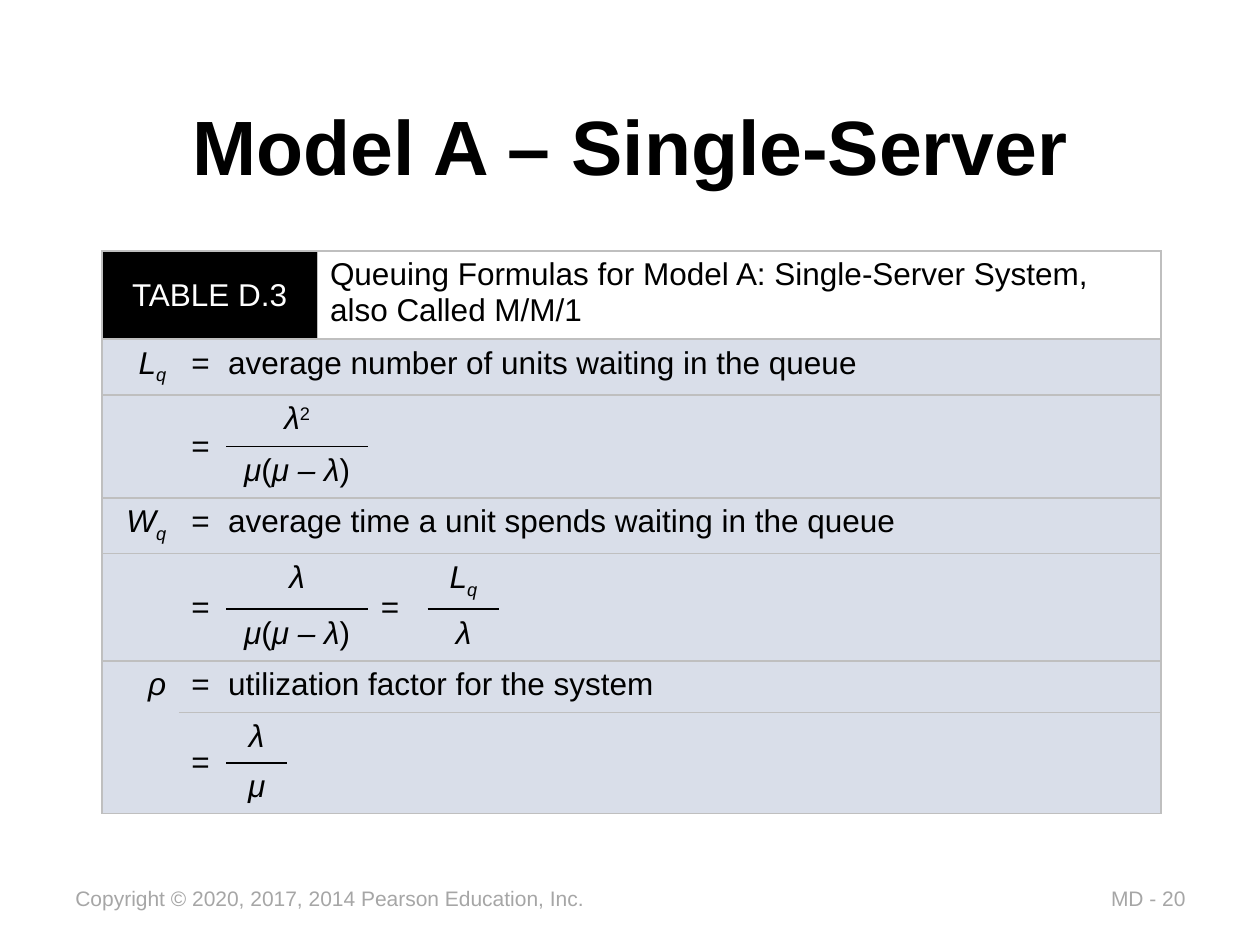
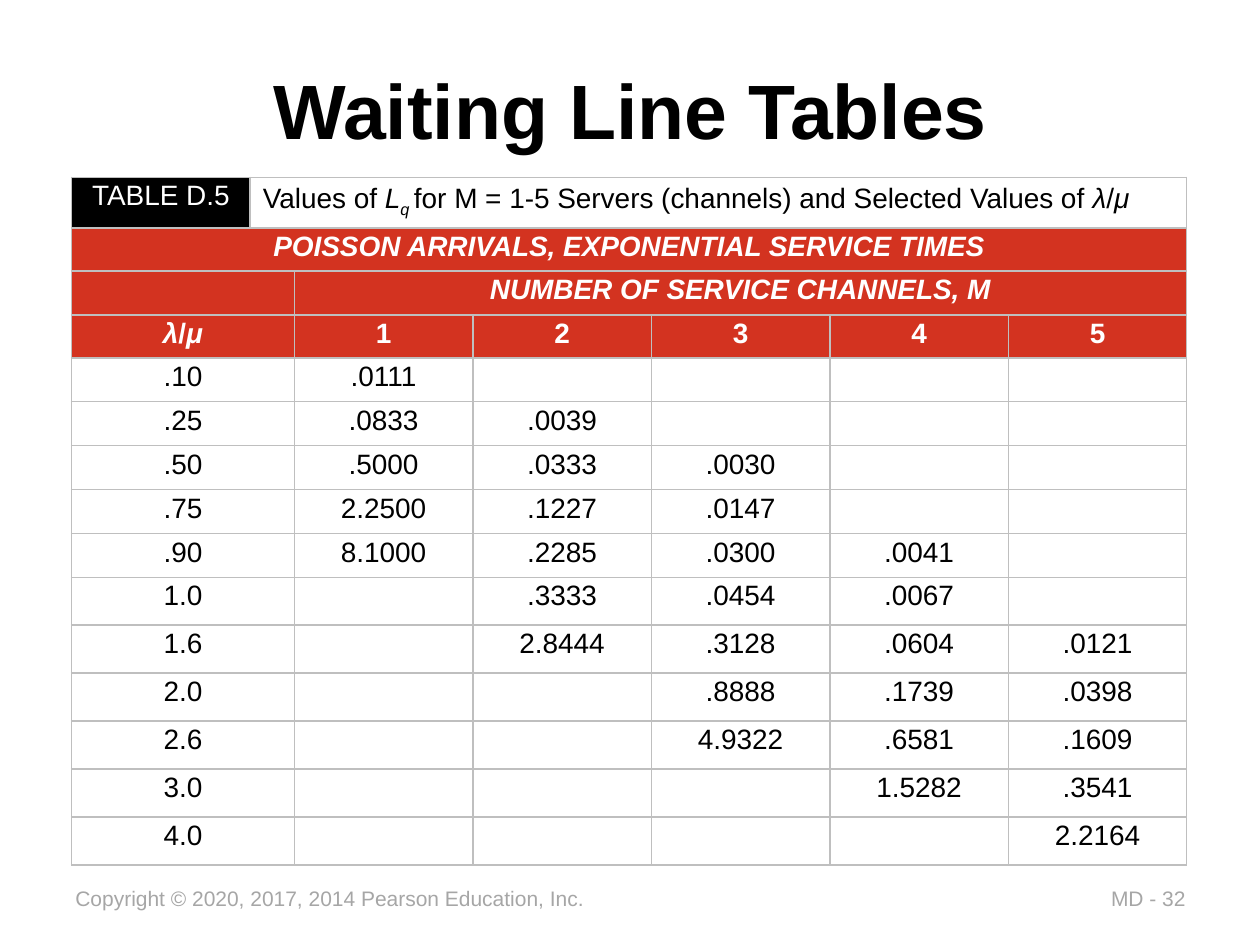
from dataclasses import dataclass
from itertools import product
from typing import Callable, NamedTuple

from lxml.etree import SubElement
from pptx import Presentation
from pptx.dml.color import RGBColor
from pptx.enum.text import MSO_ANCHOR as Anchor, PP_ALIGN as Align
from pptx.oxml.ns import qn
from pptx.util import Pt

FONT = "Arial"
BLACK, WHITE, GREY = "000000", "FFFFFF", "A6A6A6"
RULE, PALE, RED = "BFBFBF", "D9DEE9", "D33320"
NO_STYLE = "{2D5ABB26-0587-4C30-8999-92F81FD0307C}"
COPYRIGHT = "Copyright © 2020, 2017, 2014 Pearson Education, Inc."


class Run(NamedTuple):
    """A piece of text with its slant and baseline shift in percent."""
    text: str
    italic: bool = False
    baseline: int = 0


class Style(NamedTuple):
    """How the text of a paragraph looks."""
    size: float
    colour: str = BLACK
    bold: bool = False
    align: Align = Align.LEFT
    spacing: float = 1.0
    hanging: float = 0


class Box(NamedTuple):
    """A place on the slide, in points."""
    left: float
    top: float
    width: float
    height: float


@dataclass
class Entry:
    """One table cell, with its span and the side that carries a fraction bar."""
    row: int
    column: int
    runs: list[Run]
    style: Style
    fill: str = WHITE
    rows: int = 1
    columns: int = 1
    anchor: Anchor = Anchor.TOP
    bar: str = ""


EdgeRule = Callable[[Entry], dict[str, str]]

LAMBDA, MU = Run("λ", True), Run("μ", True)
SUBSCRIPT_Q = Run("q", True, -25)
QUEUE_LENGTH = [Run("L", True), SUBSCRIPT_Q]
RATIO = [LAMBDA, Run("/"), MU]
SERVICE_GAP = [MU, Run("("), Run("μ – λ", True), Run(")")]

BODY = Style(18)
CENTRED = BODY._replace(align=Align.CENTER)
SYMBOL = BODY._replace(align=Align.RIGHT)
DEFINITION = BODY._replace(hanging=21)
VALUE = Style(16, align=Align.CENTER, spacing=0.9)
HEADING = VALUE._replace(colour=WHITE, bold=True)

FORMULA_COLUMNS = [44, 27, 35, 16, 29, 34, 41, 378]
FORMULA_ROWS = [47.4] + [29.5] * 7 + [27.2] * 2
SECTION_TOPS = {0, 1, 4, 7, 10}

CHANNEL_COLUMNS = [102, 25.2] + [102] * 5
CHANNEL_ROWS = [28, 22.86, 25.14, 22.86] + [25.1] * 5 + [27.4] * 6
QUEUE_VALUES = {
    ".10": (1, ".0111"),
    ".25": (1, ".0833", ".0039"),
    ".50": (1, ".5000", ".0333", ".0030"),
    ".75": (1, "2.2500", ".1227", ".0147"),
    ".90": (1, "8.1000", ".2285", ".0300", ".0041"),
    "1.0": (2, ".3333", ".0454", ".0067"),
    "1.6": (2, "2.8444", ".3128", ".0604", ".0121"),
    "2.0": (3, ".8888", ".1739", ".0398"),
    "2.6": (3, "4.9322", ".6581", ".1609"),
    "3.0": (4, "1.5282", ".3541"),
    "4.0": (5, "2.2164"),
}


def rgb(colour: str) -> RGBColor:
    """Turn a hex string into a colour."""
    return RGBColor.from_string(colour)


def write(paragraph, runs: list[Run], style: Style) -> None:
    """Fill a paragraph with styled runs."""
    paragraph.alignment = style.align
    paragraph.line_spacing = style.spacing
    if style.hanging:
        properties = paragraph._p.get_or_add_pPr()
        properties.set("marL", str(Pt(style.hanging)))
        properties.set("indent", str(-Pt(style.hanging)))
    font = paragraph.font
    font.name, font.size, font.bold = FONT, Pt(style.size), style.bold
    font.color.rgb = rgb(style.colour)
    slants = {run.italic for run in runs}
    if len(slants) == 1:
        font.italic = runs[0].italic
    for run in runs:
        piece = paragraph.add_run()
        piece.text = run.text
        if len(slants) > 1:
            piece.font.italic = run.italic
        if run.baseline:
            piece._r.get_or_add_rPr().set("baseline", str(run.baseline * 1000))
    if not runs:
        SubElement(paragraph._p, qn("a:endParaRPr"), sz="1200")


def add_text(slide, box: Box, text: str, style: Style, wrap: bool = False) -> None:
    """Add a one-paragraph text box."""
    frame = slide.shapes.add_textbox(*map(Pt, box)).text_frame
    frame.word_wrap = wrap
    frame.vertical_anchor = Anchor.MIDDLE if wrap else Anchor.TOP
    write(frame.paragraphs[0], [Run(text)], style)


def add_slide(presentation, title: str, title_top: float, number: int):
    """Add a slide with its title, copyright line and page number."""
    slide = presentation.slides.add_slide(presentation.slide_layouts[6])
    footer = Style(12, GREY)
    add_text(slide, Box(627.8, 502.6, 59, 21.6), f"MD - {number}", footer)
    add_text(slide, Box(36, 502.6, 308, 21.6), COPYRIGHT, footer)
    add_text(slide, Box(41.8, title_top, 637.2, 74.9), title,
             Style(44, bold=True, align=Align.CENTER), wrap=True)
    return slide


def set_edges(cell, edges: dict[str, str]) -> None:
    """Draw the borders of a cell in schema order."""
    properties = cell._tc.get_or_add_tcPr()
    for side in "LRTB":
        if side in edges:
            line = SubElement(properties, qn(f"a:ln{side}"), w=str(Pt(1)))
            fill = SubElement(line, qn("a:solidFill"))
            SubElement(fill, qn("a:srgbClr"), val=edges[side])


def add_grid(slide, left: float, top: float, widths: list[float],
             heights: list[float], entries: list[Entry], edge_rule: EdgeRule) -> None:
    """Add an unstyled table and fill it with entries."""
    box = Box(left, top, sum(widths), sum(heights))
    table = slide.shapes.add_table(len(heights), len(widths), *map(Pt, box)).table
    table.first_row = table.horz_banding = False
    table._tbl.tblPr.find(qn("a:tableStyleId")).text = NO_STYLE
    for column, width in zip(table.columns, widths):
        column.width = Pt(width)
    for row, height in zip(table.rows, heights):
        row.height = Pt(height)
    for entry in entries:
        last_row, last_column = entry.row + entry.rows, entry.column + entry.columns
        origin = table.cell(entry.row, entry.column)
        for row, column in product(range(entry.row, last_row),
                                   range(entry.column, last_column)):
            cell = table.cell(row, column)
            set_edges(cell, edge_rule(entry))
            cell.fill.solid()
            cell.fill.fore_color.rgb = rgb(entry.fill)
        if entry.rows * entry.columns > 1:
            origin.merge(table.cell(last_row - 1, last_column - 1))
        origin.vertical_anchor = entry.anchor
        write(origin.text_frame.paragraphs[0], entry.runs, entry.style)


def full_edges(entry: Entry) -> dict[str, str]:
    """Rule every side of a cell."""
    return dict.fromkeys("LRTB", RULE)


def section_edges(entry: Entry) -> dict[str, str]:
    """Rule the outline of each section and the fraction bars."""
    if entry.row == 0:
        return full_edges(entry)
    outline = {
        "L": entry.column == 0,
        "R": entry.column + entry.columns == len(FORMULA_COLUMNS),
        "T": entry.row in SECTION_TOPS,
        "B": entry.row + entry.rows in SECTION_TOPS,
    }
    edges = {side: RULE for side, ruled in outline.items() if ruled}
    if entry.bar:
        edges[entry.bar] = BLACK
    return edges


def define(row: int, symbol: list[Run], meaning: str, tall: bool = False) -> list[Entry]:
    """Open a section: symbol, meaning and the equals sign below."""
    entries = [
        Entry(row, 0, symbol, SYMBOL, PALE, rows=3 if tall else 1),
        Entry(row, 1, [Run(f"=\t{meaning}")], DEFINITION, PALE, columns=7),
        Entry(row + 1, 1, [Run("=")], BODY, PALE, rows=2, anchor=Anchor.MIDDLE),
    ]
    return entries if tall else entries + [blank(row + 1, 0, 1)]


def fraction(row: int, column: int, columns: int,
             above: list[Run], below: list[Run]) -> list[Entry]:
    """Stack two cells with a bar between them."""
    return [
        Entry(row, column, above, CENTRED, PALE, columns=columns, bar="B"),
        Entry(row + 1, column, below, CENTRED, PALE, columns=columns, bar="T"),
    ]


def blank(row: int, column: int, columns: int) -> Entry:
    """Make an empty pale cell two rows high."""
    return Entry(row, column, [], BODY, PALE, rows=2, columns=columns)


def build_single_server(presentation) -> None:
    """Build the slide with the single-server formulas."""
    slide = add_slide(presentation, "Model A – Single-Server", 45.4, 20)
    caption = "Queuing Formulas for Model A: Single-Server System, also Called M/M/1"
    entries = [
        Entry(0, 0, [Run("TABLE D.3")], CENTRED._replace(colour=WHITE), BLACK,
              columns=4, anchor=Anchor.MIDDLE),
        Entry(0, 4, [Run(caption)], BODY, columns=4),
        *define(1, QUEUE_LENGTH, "average number of units waiting in the queue"),
        *fraction(2, 2, 3, [LAMBDA, Run("2", baseline=30)], SERVICE_GAP),
        blank(2, 5, 3),
        *define(4, [Run("W", True), SUBSCRIPT_Q],
                "average time a unit spends waiting in the queue"),
        *fraction(5, 2, 3, [LAMBDA], SERVICE_GAP),
        Entry(5, 5, [Run("=")], BODY, PALE, rows=2, anchor=Anchor.MIDDLE),
        *fraction(5, 6, 1, QUEUE_LENGTH, [LAMBDA]),
        blank(5, 7, 1),
        *define(7, [Run("ρ", True)], "utilization factor for the system", tall=True),
        *fraction(8, 2, 1, [LAMBDA], [MU]),
        blank(8, 3, 5),
    ]
    add_grid(slide, 58.2, 143.4, FORMULA_COLUMNS, FORMULA_ROWS, entries, section_edges)


def build_waiting_lines(presentation) -> None:
    """Build the slide with the queue lengths by service channels."""
    slide = add_slide(presentation, "Waiting Line Tables", 24.5, 32)
    caption = [Run("Values of "), Run("L", True), Run("q ", True, -25),
               Run("for M = 1-5 Servers (channels) and Selected Values of "), *RATIO]
    entries = [
        Entry(0, 0, [Run("TABLE D.5")], VALUE._replace(colour=WHITE), BLACK),
        Entry(0, 1, caption, Style(16), columns=6),
        Entry(1, 0, [Run("POISSON ARRIVALS, EXPONENTIAL SERVICE TIMES", True)],
              HEADING, RED, columns=7),
        Entry(2, 0, [], HEADING, RED, columns=2),
        Entry(2, 2, [Run("NUMBER OF SERVICE CHANNELS, M", True)], HEADING, RED, columns=5),
        Entry(3, 0, RATIO, HEADING, RED, columns=2),
    ]
    channels = range(1, 6)
    entries += [Entry(3, channel + 1, [Run(str(channel))], HEADING, RED)
                for channel in channels]
    for row, (ratio, (first, *lengths)) in enumerate(QUEUE_VALUES.items(), start=4):
        entries.append(Entry(row, 0, [Run(ratio)], VALUE, columns=2))
        known = dict(enumerate(lengths, start=first))
        for channel in channels:
            runs = [Run(known[channel])] if channel in known else []
            entries.append(Entry(row, channel + 1, runs, VALUE))
    add_grid(slide, 41, 101.3, CHANNEL_COLUMNS, CHANNEL_ROWS, entries, full_edges)


def main() -> None:
    """Build and save the presentation."""
    presentation = Presentation()
    presentation.slide_width, presentation.slide_height = Pt(720), Pt(540)
    build_single_server(presentation)
    build_waiting_lines(presentation)
    presentation.save("out.pptx")


if __name__ == "__main__":
    main()
